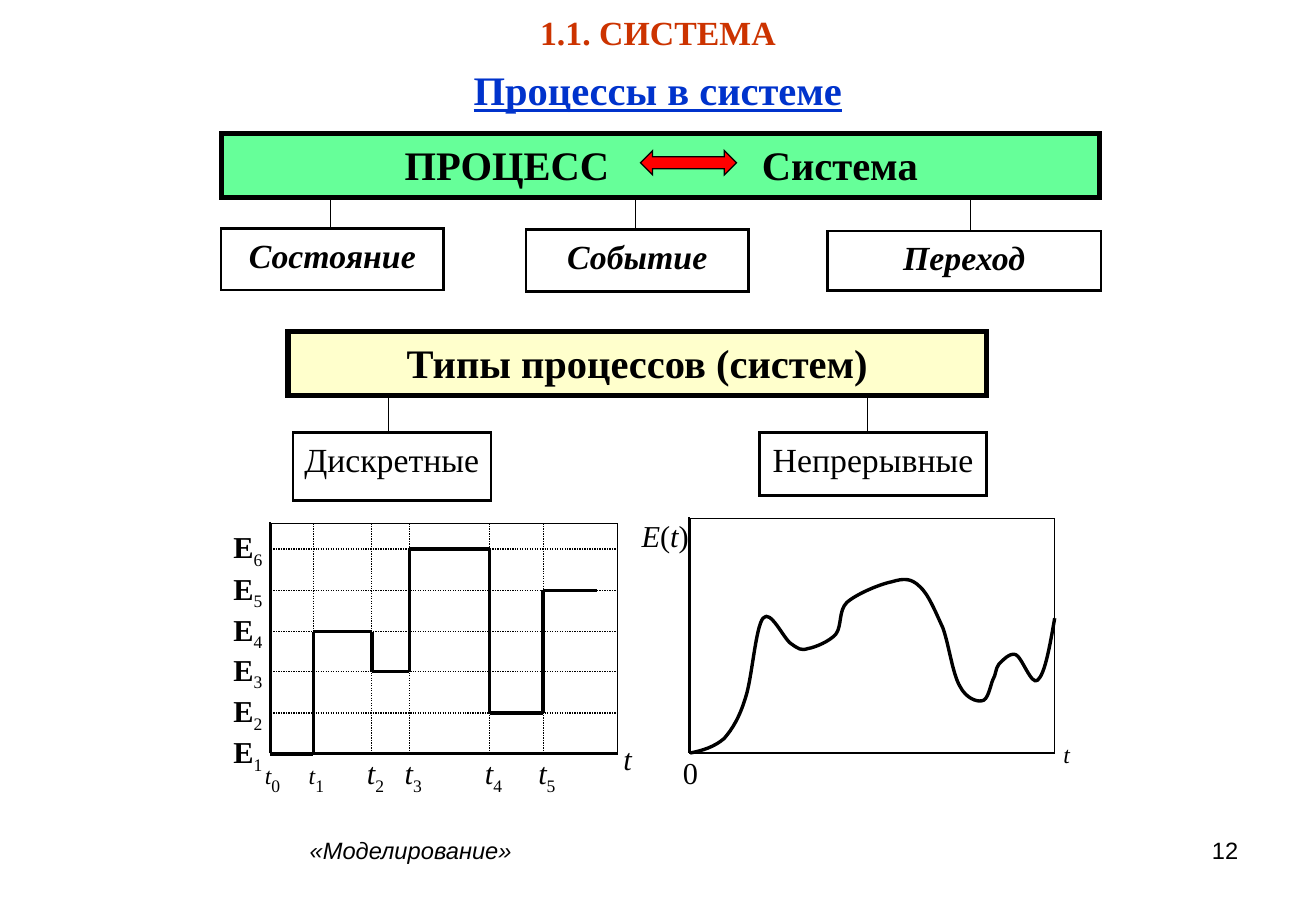
from dataclasses import dataclass
from itertools import chain, pairwise

from lxml import etree
from pptx import Presentation
from pptx import util as u
from pptx.dml.color import RGBColor
from pptx.enum import dml, shapes, text
from pptx.oxml.ns import qn

PX = u.Inches(1) // 100
SERIF = "Times New Roman"
COLORS = {
    "ink": "000000", "white": "FFFFFF", "green": "66FF99", "cream": "FFFFCC",
    "red": "FF0000", "blue": "0033CC", "rust": "CC3300",
}
LEFT, MID, RIGHT = text.PP_ALIGN.LEFT, text.PP_ALIGN.CENTER, text.PP_ALIGN.RIGHT


@dataclass(frozen=True)
class Box:
    words: str
    x: int
    y: int
    w: int
    h: int
    fill: str = "white"
    line: float = 1.5
    size: int = 20
    bold: bool = False
    italic: bool = False
    pad: tuple[int, int, int, int] = (10, 5, 10, 5)
    tab: int = 0


@dataclass(frozen=True)
class Link:
    x: int
    top: int
    end: int


WIDE = (6, 5, 6, 1)
SLIM = (2, 5, 2, 5)
NONE = (0, 0, 0, 0)
TIGHT = (2, 1, 2, 1)
LINKS = [
    Link(272, 164, 200), Link(523, 164, 200), Link(799, 163, 205),
    Link(320, 326, 356), Link(714, 326, 356),
]
BOXES = [
    Box("ПРОЦЕСС\tСистема", 182, 110, 723, 53, "green", 3, 24, True,
        pad=(151, 5, 6, 1), tab=294),
    Box("Типы процессов (систем)", 237, 273, 575, 53, "cream", 3, 24, True, pad=WIDE),
    Box("Состояние", 182, 188, 183, 51, bold=True, italic=True),
    Box("Событие", 433, 189, 183, 51, bold=True, italic=True),
    Box("Переход", 681, 190, 225, 49, bold=True, italic=True),
    Box("Дискретные", 241, 356, 163, 56, pad=SLIM),
    Box("Непрерывные", 625, 356, 187, 52, pad=SLIM),
]
TIMES = [222, 258, 306, 337, 403, 447]
STATES = [1, 4, 3, 6, 2, 5]
STEP_END = 491
START = (568, 620)
CURVE = [
    ((578, 618), (588, 615), (596, 608)), ((603, 600), (609, 590), (614, 573)),
    ((619, 557), (622, 516), (628, 509)), ((634, 501), (645, 526), (651, 530)),
    ((657, 534), (659, 536), (665, 534)), ((671, 533), (683, 528), (688, 522)),
    ((693, 515), (690, 503), (697, 496)), ((705, 489), (724, 481), (734, 479)),
    ((744, 476), (750, 476), (757, 483)), ((764, 489), (770, 504), (776, 517)),
    ((781, 531), (784, 555), (790, 565)), ((795, 575), (804, 578), (808, 577)),
    ((813, 577), (815, 565), (817, 560)), ((820, 555), (819, 551), (822, 547)),
    ((825, 544), (831, 537), (836, 539)), ((841, 541), (849, 565), (854, 560)),
    ((860, 555), (864, 532), (868, 509)),
]


def tint(name: str) -> RGBColor:
    return RGBColor.from_string(COLORS[name])


def write(para, words: str, *, size: int = 18, color: str = "ink", font: str = SERIF,
          bold: bool = False, italic: bool = False, under: bool = False, sub: bool = False) -> None:
    run = para.add_run()
    run.text = words
    face = run.font
    face.name, face.size, face.color.rgb = font, u.Pt(size), tint(color)
    face.bold, face.italic, face.underline = bold, italic, under
    if sub:
        face._element.set("baseline", "-25000")


def setup(shape, pad: tuple[int, int, int, int], align):
    frame = shape.text_frame
    frame.word_wrap = True
    frame.auto_size = text.MSO_AUTO_SIZE.NONE
    frame.vertical_anchor = text.MSO_ANCHOR.TOP
    frame.margin_left, frame.margin_top, frame.margin_right, frame.margin_bottom = (
        n * PX for n in pad)
    para = frame.paragraphs[0]
    para.alignment = align
    return para


def label(slide, x: int, y: int, w: int, h: int, pad=NONE, align=LEFT):
    return setup(slide.shapes.add_textbox(x * PX, y * PX, w * PX, h * PX), pad, align)


def shape(slide, kind, x: int, y: int, w: int, h: int, fill: str | None, line: float):
    item = slide.shapes.add_shape(kind, x * PX, y * PX, w * PX, h * PX)
    item.shadow.inherit = False
    if fill:
        item.fill.solid()
        item.fill.fore_color.rgb = tint(fill)
    else:
        item.fill.background()
    item.line.color.rgb, item.line.width = tint("ink"), u.Pt(line)
    etree.SubElement(item.line._get_or_add_ln(), qn("a:miter"), lim="800000")
    return item


def rule(slide, x: int, y: int, to_x: int, to_y: int, width: float = 0.75, dots: bool = False) -> None:
    line = slide.shapes.add_connector(
        shapes.MSO_CONNECTOR.STRAIGHT, x * PX, y * PX, to_x * PX, to_y * PX)
    line.line.color.rgb, line.line.width = tint("ink"), u.Pt(width)
    if dots:
        line.line.dash_style = dml.MSO_LINE.ROUND_DOT
    etree.SubElement(line._element.spPr, qn("a:effectLst"))


def draw_box(slide, box: Box) -> None:
    item = shape(slide, shapes.MSO_SHAPE.RECTANGLE, box.x, box.y, box.w, box.h, box.fill, box.line)
    para = setup(item, box.pad, LEFT if box.tab else MID)
    if box.tab:
        tabs = etree.SubElement(para._p.get_or_add_pPr(), qn("a:tabLst"))
        etree.SubElement(tabs, qn("a:tab"), pos=str(box.tab * PX), algn="l")
    write(para, box.words, size=box.size, bold=box.bold, italic=box.italic)


def level(state: int) -> int:
    return 621 - round(33.8 * (state - 1))


def draw_steps(slide) -> None:
    shape(slide, shapes.MSO_SHAPE.RECTANGLE, 223, 431, 285, 190, None, 0.5)
    for x in TIMES[1:]:
        rule(slide, x, 431, x, 621, dots=True)
    for state in range(2, 7):
        rule(slide, 223, level(state), 508, level(state), dots=True)
    for state, (x, end) in zip(STATES, pairwise([*TIMES, STEP_END])):
        rule(slide, x, level(state), end, level(state), 2)
    for x, (old, new) in zip(TIMES[1:], pairwise(STATES)):
        rule(slide, x, level(old), x, level(new), 2)
    for state in range(1, 7):
        para = label(slide, 192, level(state) - 17, 31, 30)
        write(para, "Е", bold=True)
        write(para, str(state), sub=True)
    for n, x in enumerate(TIMES):
        para = label(slide, x - 4, 621, 22, 30)
        write(para, "t", size=14 if n < 2 else 18, italic=True)
        write(para, str(n), sub=True)
    write(label(slide, 513, 609, 22, 30), "t", italic=True)
    rule(slide, 222, 620, 508, 620)
    rule(slide, 222, 430, 222, 620, 1)


def bend(outline) -> None:
    lines = list(outline.iter(qn("a:lnTo")))
    for trio in zip(*[iter(lines)] * 3):
        curve = etree.SubElement(outline, qn("a:cubicBezTo"))
        for line in trio:
            curve.append(line[0])
            outline.remove(line)


def draw_curve(slide) -> None:
    shape(slide, shapes.MSO_SHAPE.RECTANGLE, 568, 427, 300, 193, None, 0.75)
    para = label(slide, 526, 425, 51, 34, TIGHT)
    for part, italic in (("Е", True), ("(", False), ("t", True), (")", False)):
        write(para, part, italic=italic)
    write(label(slide, 873, 608, 18, 30, TIGHT), "t", size=14, italic=True)
    pen = slide.shapes.build_freeform(*START, scale=PX)
    pen.add_line_segments(chain.from_iterable(CURVE), close=False)
    wave = pen.convert_to_shape()
    bend(next(wave._element.iter(qn("a:path"))))
    wave.shadow.inherit = False
    wave.fill.background()
    wave.line.color.rgb, wave.line.width = tint("ink"), u.Pt(2)
    write(label(slide, 558, 620, 23, 30, (4, 1, 0, 1)), "0")
    rule(slide, 567, 620, 868, 620)
    rule(slide, 567, 426, 567, 620, 1)


def main() -> None:
    """Build the slide on processes in a system."""
    deck = Presentation()
    deck.slide_width, deck.slide_height = 1083 * PX, 750 * PX
    slide = deck.slides.add_slide(deck.slide_layouts[5])
    title = slide.shapes.title
    title.left, title.top, title.width, title.height = (n * PX for n in (21, 11, 1041, 38))
    para = setup(title, (10, 5, 10, 5), MID)
    para.line_spacing = 0.8
    write(para, "1.1. СИСТЕМА", size=20, color="rust", bold=True)
    para = label(slide, 30, 49, 1023, 50, (10, 5, 10, 5), MID)
    write(para, "Процессы в системе", size=24, color="blue", bold=True, under=True)
    for link in LINKS:
        rule(slide, link.x, link.top, link.x, link.end)
    for box in BOXES:
        draw_box(slide, box)
    shape(slide, shapes.MSO_SHAPE.LEFT_RIGHT_ARROW, 527, 124, 79, 20, "red", 0.75)
    draw_steps(slide)
    draw_curve(slide)
    para = label(slide, 245, 683, 549, 52, (10, 5, 10, 5))
    write(para, "«Моделирование»", size=14, font="Arial", italic=True)
    para = label(slide, 776, 683, 253, 52, (10, 5, 10, 5), RIGHT)
    write(para, "12", size=14, font="Arial")
    deck.save("out.pptx")


if __name__ == "__main__":
    main()
